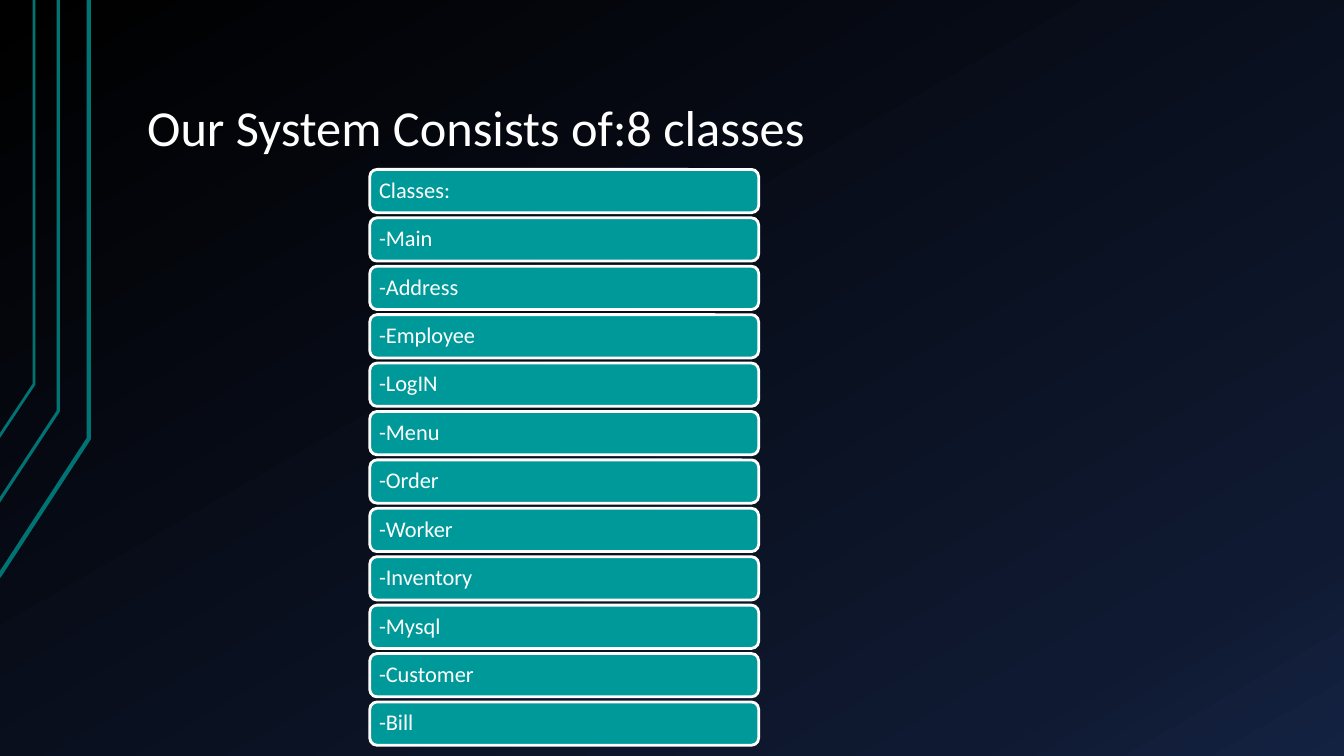
from copy import deepcopy

from pptx import Presentation
from pptx import util as u
from pptx.dml.color import RGBColor
from pptx.enum import shapes, text

WHITE = RGBColor(0xFF, 0xFF, 0xFF)
TEAL = RGBColor(0x00, 0x99, 0x99)
DARK_TEAL = RGBColor(0x00, 0x73, 0x73)
BACKDROP = [
    (0, RGBColor(0x00, 0x00, 0x00)),
    (0.85, RGBColor(0x0F, 0x19, 0x31)),
    (1, RGBColor(0x14, 0x22, 0x42)),
]

# Each stripe: start on the left edge, bend, line width in points
STRIPES = [
    ((-0.03, 14.53), (2.24, 11.05), 3),
    ((-0.05, 12.67), (1.47, 10.36), 2.25),
    ((-0.03, 11.02), (0.86, 9.68), 2),
]

CLASSES = ["Main", "Address", "Employee", "LogIN", "Menu", "Order",
           "Worker", "Inventory", "Mysql", "Customer", "Bill"]
ROWS = ["Classes:"] + [f"-{name}" for name in CLASSES]
ROW_LEFT, ROW_TOP, ROW_WIDTH, ROW_HEIGHT, ROW_PITCH = 9.32, 4.27, 9.8, 1.09, 1.22


class Deck:
    font = "Calibri"

    def __init__(self, prs):
        self.slide = prs.slides.add_slide(prs.slide_layouts[5])

    def background(self, colours, angle):
        fill = self.slide.background.fill
        fill.gradient()
        fill.gradient_angle = angle
        first_stop = self.slide.element.xpath(".//p:bg//a:gs")[0]
        first_stop.addnext(deepcopy(first_stop))
        for stop, (position, colour) in zip(fill.gradient_stops, colours):
            stop.position = position
            stop.color.rgb = colour

    def set_words(self, frame, words, size, anchor, inset_x, inset_y):
        frame.text = words
        frame.word_wrap = True
        frame.auto_size = text.MSO_AUTO_SIZE.NONE
        frame.vertical_anchor = anchor
        frame.margin_left = frame.margin_right = u.Cm(inset_x)
        frame.margin_top = frame.margin_bottom = u.Cm(inset_y)
        paragraph = frame.paragraphs[0]
        paragraph.alignment = text.PP_ALIGN.LEFT
        paragraph.line_spacing = 0.9
        font = paragraph.runs[0].font
        font.name, font.size = self.font, u.Pt(size)
        font.color.rgb = WHITE

    def title(self, words, left, top, width, height):
        title = self.slide.shapes.title
        title.left, title.top = u.Cm(left), u.Cm(top)
        title.width, title.height = u.Cm(width), u.Cm(height)
        self.set_words(title.text_frame, words, 36, text.MSO_ANCHOR.BOTTOM, 0.33, 0.18)

    def stripe(self, start, bend, width):
        points = [(u.Cm(x), u.Cm(y)) for x, y in (start, bend, (bend[0], 0))]
        builder = self.slide.shapes.build_freeform(*points[0])
        builder.add_line_segments(points[1:], close=False)
        stripe = builder.convert_to_shape()
        stripe.shadow.inherit = False
        stripe.fill.background()
        stripe.line.color.rgb = DARK_TEAL
        stripe.line.width = u.Pt(width)

    def row(self, words, left, top, width, height):
        row = self.slide.shapes.add_shape(
            shapes.MSO_SHAPE.ROUNDED_RECTANGLE,
            u.Cm(left), u.Cm(top), u.Cm(width), u.Cm(height))
        row.shadow.inherit = False
        row.fill.solid()
        row.fill.fore_color.rgb = TEAL
        row.line.color.rgb = WHITE
        row.line.width = u.Pt(2)
        self.set_words(row.text_frame, words, 16, text.MSO_ANCHOR.MIDDLE, 0.18, 0.18)


def main():
    prs = Presentation()
    prs.slide_width, prs.slide_height = u.Cm(33.87), u.Cm(19.05)
    deck = Deck(prs)

    # Backdrop and corner stripes
    deck.background(BACKDROP, 300)
    for start, bend, width in STRIPES:
        deck.stripe(start, bend, width)

    # Title
    deck.title("Our System Consists of:8 classes", 3.38, 0.76, 28.78, 3.4)

    # List of classes
    for i, words in enumerate(ROWS):
        deck.row(words, ROW_LEFT, ROW_TOP + i * ROW_PITCH, ROW_WIDTH, ROW_HEIGHT)

    prs.save("out.pptx")


if __name__ == "__main__":
    main()
